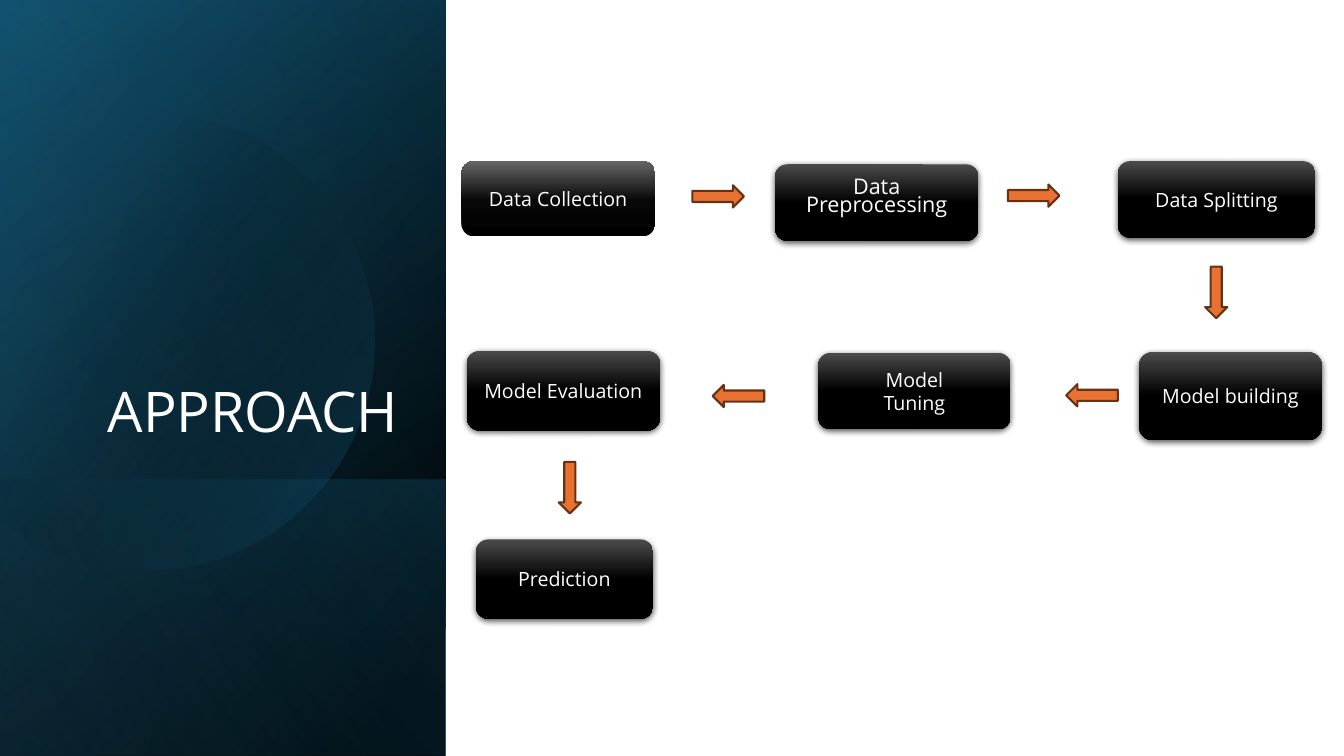
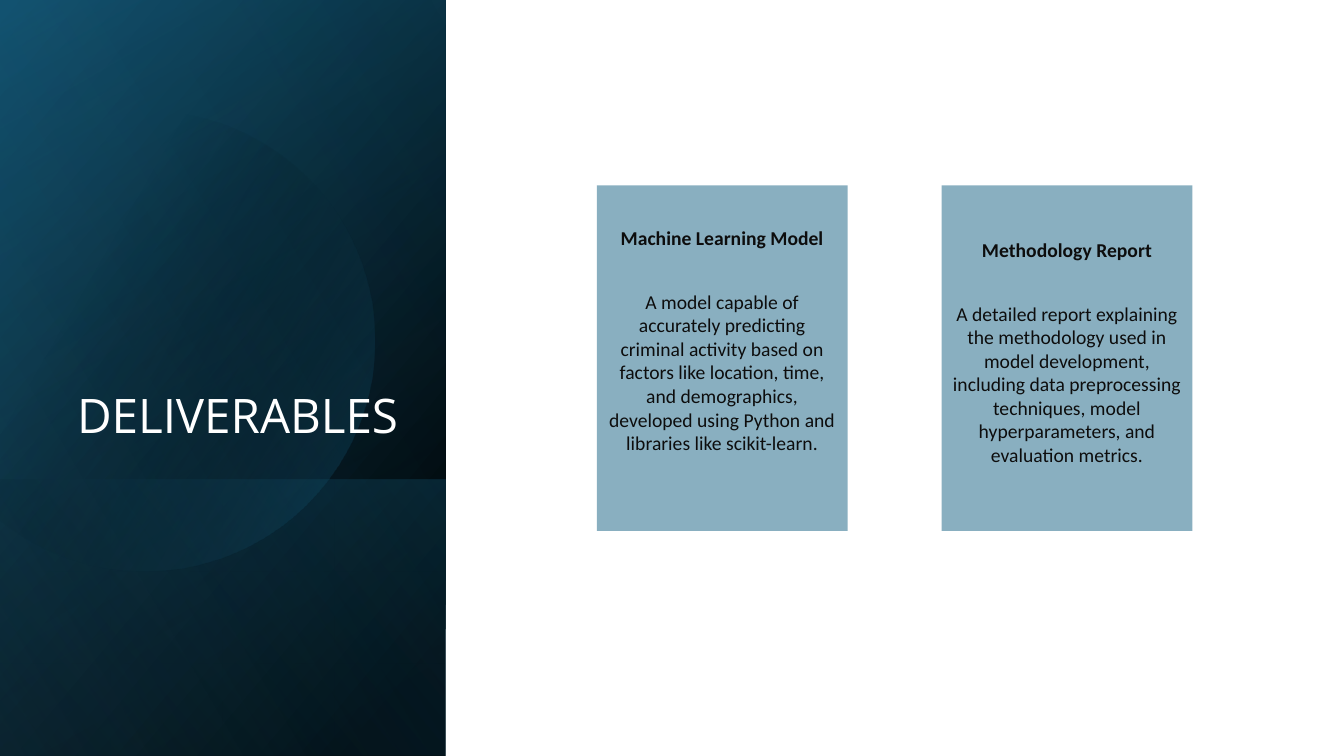
"""Build the approach and deliverables slides."""
from math import cos, radians, sin

from lxml.etree import SubElement as Sub
from pptx import Presentation
from pptx.dml.color import RGBColor as Rgb
from pptx.enum.shapes import MSO_SHAPE as Kind
from pptx.enum.text import MSO_ANCHOR as Anchor, MSO_AUTO_SIZE as Fit, PP_ALIGN as Align
from pptx.oxml.ns import qn
from pptx.util import Cm, Pt

WHITE = Rgb(0xFF, 0xFF, 0xFF)
BLACK = Rgb(0, 0, 0)
INK = Rgb(0x0D, 0x0D, 0x0D)
SOOT = Rgb(0x08, 0x08, 0x08)
ASH = Rgb(0x4B, 0x4B, 0x4B)
GREY = Rgb(0x66, 0x66, 0x66)
NAVY = Rgb(0x10, 0x48, 0x62)
TEAL = Rgb(0x15, 0x60, 0x82)
SKY = Rgb(0x46, 0xB1, 0xE1)
AMBER = Rgb(0xE9, 0x71, 0x32)
BROWN = Rgb(0x66, 0x32, 0x16)

SANS = "Open Sans"
BODY = "Calibri"
WIDE, HIGH, SIDE = 33.87, 19.05, 11.23

DARK = [(0, ASH, 100), (50, BLACK, 100), (100, BLACK, 100)], 90
PALE = [(0, BLACK, 100), (48, SOOT, 100), (100, GREY, 100)], 270
DISC = [(29, BLACK, 0), (100, TEAL, 43)], 30
VEILS = [
    (0, HIGH, [(8, BLACK, 100), (100, NAVY, 100)], 50),
    (0, HIGH, [(0, BLACK, 0), (99, TEAL, 46)], 30),
    (12.09, 6.96, [(2, TEAL, 29), (100, BLACK, 30)], 130),
]
GLOW = 0, HIGH, [(0, BLACK, 0), (99, SKY, 11)], 120

STEPS = [
    ("Data Splitting", 28.17, 4.06, 4.98, 1.93),
    ("Model building", 28.7, 8.86, 4.62, 2.24),
    ("Model\nTuning", 20.62, 8.89, 4.85, 1.93),
    ("Model Evaluation", 11.76, 8.84, 4.88, 2.01),
    ("Prediction", 11.99, 13.59, 4.47, 2.01),
]
ARROWS = [
    (18.1, 4.95, 0), (26.05, 4.93, 0), (30.65, 7.37, 90),
    (27.52, 9.96, 180), (18.61, 9.98, 180), (14.36, 12.29, 90),
]
CARDS = [
    ("Machine Learning Model",
     "A model capable of accurately predicting criminal activity based on "
     "factors like location, time, and demographics, developed using Python "
     "and libraries like scikit-learn.", 1.03),
    ("Methodology Report",
     "A detailed report explaining the methodology used in model development, "
     "including data preprocessing techniques, model hyperparameters, and "
     "evaluation metrics.", 1.33),
]


def tint(node, color, alpha):
    """Add a colour with its opacity in percent."""
    mark = Sub(node, qn("a:srgbClr"), val=str(color))
    Sub(mark, qn("a:alpha"), val=str(alpha * 1000))


def blend(shape, stops, angle):
    """Fill a shape with a linear gradient."""
    shape.fill.gradient()
    grad = shape._element.spPr.find(qn("a:gradFill"))
    for child in list(grad):
        grad.remove(child)
    row = Sub(grad, qn("a:gsLst"))
    for place, color, alpha in stops:
        tint(Sub(row, qn("a:gs"), pos=str(place * 1000)), color, alpha)
    Sub(grad, qn("a:lin"), ang=str(angle * 60000), scaled="0")


def plain(shape):
    """Take away the outline and shadow."""
    shape.shadow.inherit = False
    shape.line.fill.background()
    return shape


def block(slide, kind, left, top, wide, high):
    """Add a preset shape without outline or shadow."""
    return plain(slide.shapes.add_shape(kind, Cm(left), Cm(top), Cm(wide), Cm(high)))


def shade(shape):
    """Cast a soft shadow below a shape."""
    glow = shape._element.spPr.find(qn("a:effectLst"))
    cast = Sub(glow, qn("a:outerShdw"), blurRad=str(Pt(4.5)), dist=str(Pt(1.5)),
               dir="5400000", algn="ctr", rotWithShape="0")
    tint(cast, BLACK, 63)


def write(para, text, size, color, font, bold=False):
    """Add text to a paragraph run by run, breaking at line ends."""
    for row, part in enumerate(text.split("\n")):
        if row:
            para.add_line_break()
        run = para.add_run()
        run.text = part
        run.font.size = Pt(size)
        run.font.name = font
        run.font.bold = bold
        run.font.color.rgb = color


def veil(slide, top, high, stops, angle):
    """Lay a turned gradient sheet over the side panel."""
    shift = (SIDE - high) / 2
    sheet = block(slide, Kind.RECTANGLE, shift, top - shift, high, SIDE)
    sheet.rotation = 90
    sheet._element.spPr.find(qn("a:xfrm")).set("flipH", "1")
    blend(sheet, stops, angle)


def disc(slide):
    """Draw the circle cut off by the slide's left edge."""
    mid, level, radius, reach = 3.64, 8.59, 5.79, 129
    dots = [(Cm(mid + radius * cos(radians(turn))), Cm(level + radius * sin(radians(turn))))
            for turn in range(-reach, reach + 1, 2)]
    path = slide.shapes.build_freeform(*dots[0])
    path.add_line_segments(dots[1:], close=True)
    blend(plain(path.convert_to_shape()), *DISC)


def page(deck, text, size):
    """Add a slide with the side panel and its title."""
    slide = deck.slides.add_slide(deck.slide_layouts[5])
    for sheet in VEILS:
        veil(slide, *sheet)
    disc(slide)
    veil(slide, *GLOW)
    title = slide.shapes.title
    slide.shapes._spTree.append(title._element)
    title.left, title.top, title.width, title.height = Cm(1.63), Cm(4.67), Cm(8.66), Cm(6.65)
    frame = title.text_frame
    frame.auto_size = Fit.NONE
    frame.vertical_anchor = Anchor.BOTTOM
    para = frame.paragraphs[0]
    para.alignment = Align.RIGHT
    para.line_spacing = 0.9
    write(para, text, size, WHITE, SANS)
    return slide


def step(slide, text, left, top, wide, high, size=14, look=DARK):
    """Add a rounded box for one step."""
    box = block(slide, Kind.ROUNDED_RECTANGLE, left, top, wide, high)
    blend(box, *look)
    if look is DARK:
        shade(box)
    frame = box.text_frame
    frame.word_wrap = True
    frame.vertical_anchor = Anchor.MIDDLE
    para = frame.paragraphs[0]
    para.alignment = Align.CENTER
    write(para, text, size, WHITE, SANS)
    return frame


def arrow(slide, mid, level, turn):
    """Add a block arrow around its centre."""
    wide, high = 1.3, 0.56
    mark = block(slide, Kind.RIGHT_ARROW, mid - wide / 2, level - high / 2, wide, high)
    mark.rotation = turn
    mark.fill.solid()
    mark.fill.fore_color.rgb = AMBER
    mark.line.color.rgb = BROWN
    mark.line.width = Pt(1.5)


def card(slide, left, head, text, inset):
    """Add a tinted card with a heading and a text."""
    box = block(slide, Kind.RECTANGLE, left, 4.67, 6.32, 8.71)
    box.fill.solid()
    box.fill.fore_color.rgb = TEAL
    color = box._element.spPr.find(qn("a:solidFill")).find(qn("a:srgbClr"))
    Sub(color, qn("a:alpha"), val="50000")
    frame = box.text_frame
    frame.word_wrap = True
    frame.vertical_anchor = Anchor.TOP
    frame.margin_top = Cm(inset)
    first, second = frame.paragraphs[0], frame.add_paragraph()
    first.alignment = second.alignment = Align.CENTER
    first.space_after = Pt(28.6)
    write(first, head, 14, INK, BODY, True)
    write(second, text, 14, INK, BODY)


def main():
    """Build and save the deck."""
    deck = Presentation()
    deck.slide_width, deck.slide_height = Cm(WIDE), Cm(HIGH)

    slide = page(deck, "APPROACH", 40)
    step(slide, "Data Collection", 11.63, 4.06, 4.88, 1.9, look=PALE)
    frame = step(slide, "Data Preprocessing", 19.53, 4.14, 5.13, 1.93, size=15.4)
    frame.paragraphs[0].line_spacing = 0.7
    frame.margin_bottom = Cm(0.33)
    for item in STEPS:
        step(slide, *item)
    for item in ARROWS:
        arrow(slide, *item)

    slide = page(deck, "DELIVERABLES", 34)
    for spot, item in enumerate(CARDS):
        card(slide, 15.04 + spot * 8.69, *item)

    deck.save("out.pptx")


if __name__ == "__main__":
    main()
